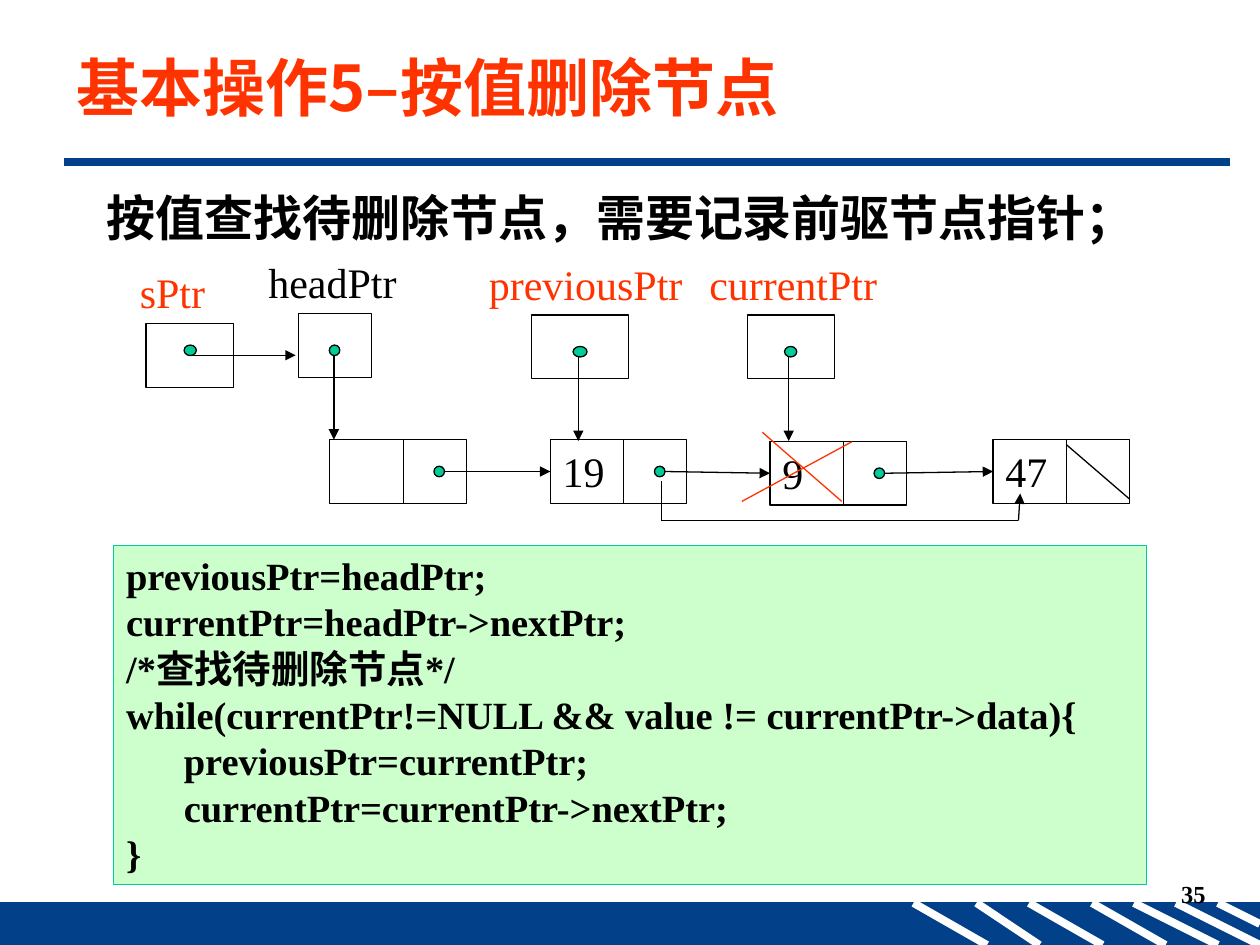
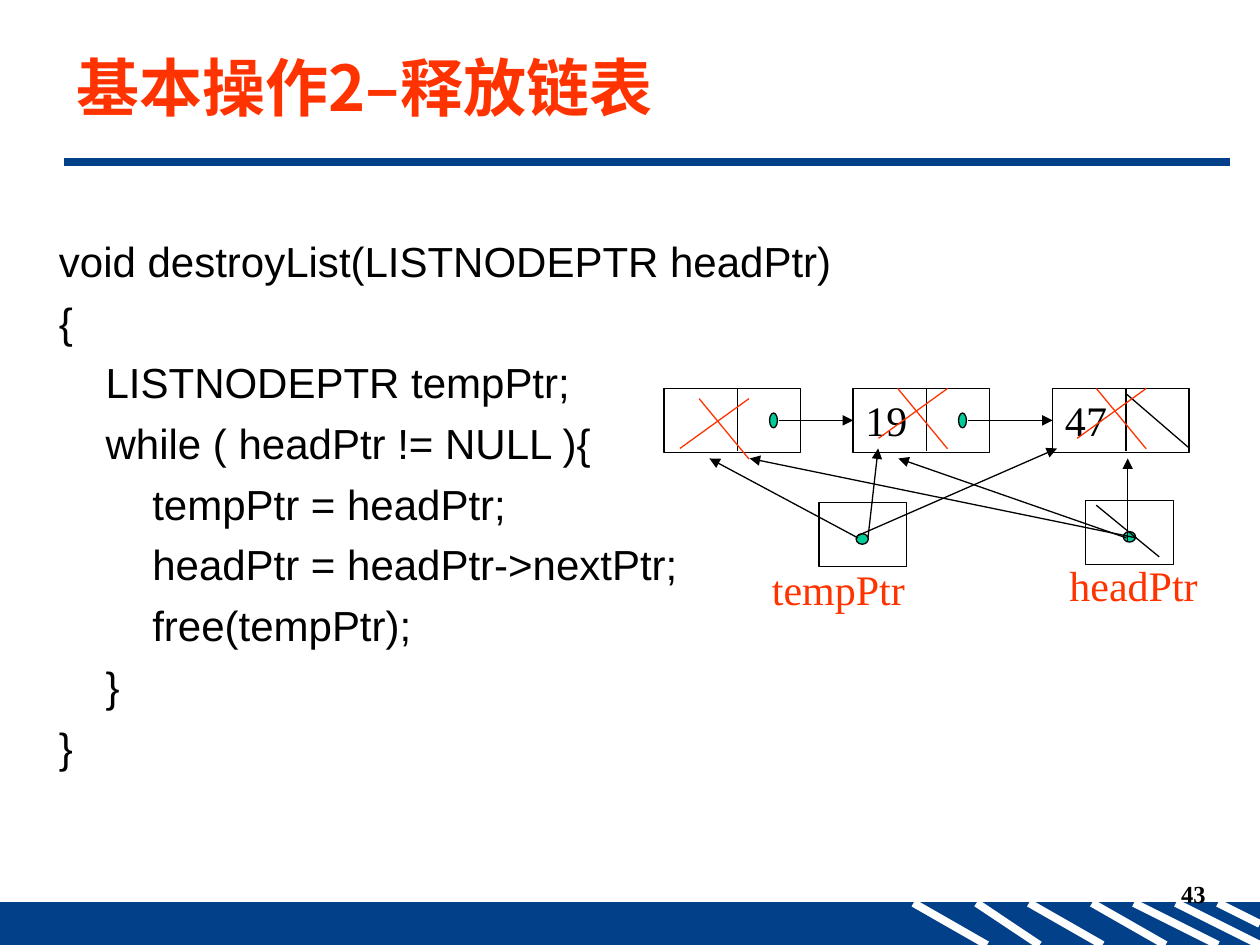
"""Build two slides on deleting a linked-list node and freeing a list."""
from itertools import pairwise

from lxml import etree
from pptx import Presentation
from pptx.dml.color import RGBColor
from pptx.enum.shapes import MSO_CONNECTOR, MSO_SHAPE
from pptx.enum.text import MSO_ANCHOR, PP_ALIGN
from pptx.oxml.ns import qn
from pptx.util import Pt

RECTANGLE, OVAL = MSO_SHAPE.RECTANGLE, MSO_SHAPE.OVAL
STRAIGHT = MSO_CONNECTOR.STRAIGHT
TOP, MIDDLE = MSO_ANCHOR.TOP, MSO_ANCHOR.MIDDLE
LEFT, RIGHT = PP_ALIGN.LEFT, PP_ALIGN.RIGHT
LEFT_SIDE = 1

BLACK = RGBColor(0x00, 0x00, 0x00)
WHITE = RGBColor(0xFF, 0xFF, 0xFF)
NAVY = RGBColor(0x02, 0x40, 0x89)
RED = RGBColor(0xFF, 0x33, 0x00)
GREEN = RGBColor(0x00, 0xCC, 0x99)
PALE_GREEN = RGBColor(0xCC, 0xFF, 0xCC)

SERIF, SANS, CHINESE = "Times New Roman", "Arial", "Noto Sans CJK SC"
NODE_WIDTH, NODE_HEIGHT, DIVIDER = 78, 36.5, 42
POINTER_HEIGHT = 36.5


def add_box(slide, kind, left, top, width, height, text="", fill=None, line=None,
            font=SERIF, size=24, color=BLACK, bold=False, align=LEFT, anchor=TOP,
            indents=None, space_before=0, line_spacing=None):
    """Add a shape, or a text box when kind is None, with one style of text."""
    place = Pt(left), Pt(top), Pt(width), Pt(height)
    if kind is None:
        shape = slide.shapes.add_textbox(*place)
    else:
        shape = slide.shapes.add_shape(kind, *place)
        shape.shadow.inherit = False
    if fill is None:
        shape.fill.background()
    else:
        shape.fill.solid()
        shape.fill.fore_color.rgb = fill
    if line is None:
        shape.line.fill.background()
    else:
        shape.line.color.rgb = line
        shape.line.width = Pt(0.75)
    if not text:
        return shape
    text_frame = shape.text_frame
    text_frame.word_wrap = True
    text_frame.vertical_anchor = anchor
    text_frame.text = text
    for index, paragraph in enumerate(text_frame.paragraphs):
        paragraph.alignment = align
        paragraph.space_before = Pt(space_before)
        if line_spacing:
            paragraph.line_spacing = Pt(line_spacing)
        if indents:
            paragraph._p.get_or_add_pPr().set("marL", str(Pt(indents[index])))
        for run in paragraph.runs:
            run.font.name = font
            run.font.size = Pt(size)
            run.font.bold = bold
            run.font.color.rgb = color
            east_asian = etree.SubElement(run._r.get_or_add_rPr(), qn("a:ea"))
            east_asian.set("typeface", CHINESE)
    return shape


def add_line(slide, start, end, color=BLACK, width=0.75, arrow=False, target=None):
    """Add a straight line, with an arrowhead or a target node if wanted."""
    connector = slide.shapes.add_connector(
        STRAIGHT, Pt(start[0]), Pt(start[1]), Pt(end[0]), Pt(end[1]))
    connector.line.color.rgb = color
    connector.line.width = Pt(width)
    if arrow:
        tail = etree.SubElement(connector.line._get_or_add_ln(), qn("a:tailEnd"))
        tail.set("type", "triangle")
    etree.SubElement(connector._element.spPr, qn("a:effectLst"))
    if target is not None:
        connector.end_connect(target, LEFT_SIDE)


presentation = Presentation()
presentation.slide_width, presentation.slide_height = Pt(720), Pt(540)

stripes = [(522, 564, 540), (558, 594, 540), (588, 630, 540), (624, 666, 540),
           (648, 696, 540), (672, 720, 540), (696, 720, 528)]
slides = []
for title, number in [("基本操作5–按值删除节点", "35"), ("基本操作2–释放链表", "43")]:
    slide = presentation.slides.add_slide(presentation.slide_layouts[6])
    add_box(slide, RECTANGLE, 0, 516, 720, 24, fill=NAVY, line=NAVY)
    for stripe_left, stripe_right, stripe_bottom in stripes:
        add_line(slide, (stripe_left, 516), (stripe_right, stripe_bottom), WHITE, 4.5)
    add_line(slide, (36.75, 92.6), (703, 92.6), NAVY, 4.5)
    add_box(slide, None, 546, 498.5, 150, 36, number, size=14, bold=True, align=RIGHT)
    add_box(slide, None, 36.75, 21, 669, 57, title, font=CHINESE, size=36,
            color=RED, bold=True, anchor=MIDDLE)
    slides.append(slide)
delete_slide, destroy_slide = slides

list_nodes = [
    (delete_slide, [(188.5, 251.2, ""), (314.5, 251.2, "19"),
                    (440, 252.2, "9"), (567.5, 251.2, "47")], 6, 6),
    (destroy_slide, [(379.5, 222, ""), (487.5, 222, "19"), (601.5, 222, "47")], 4.5, 8.5),
]
for slide, nodes, dot_width, dot_height in list_nodes:
    shapes = []
    for left, top, value in nodes:
        shapes.append(add_box(slide, RECTANGLE, left, top, NODE_WIDTH, NODE_HEIGHT,
                              value, line=BLACK, space_before=1.5))
        add_line(slide, (left + DIVIDER, top), (left + DIVIDER, top + 36))
    for (left, top, _), (next_left, next_top, _), target in zip(nodes, nodes[1:], shapes[1:]):
        middle = top + NODE_HEIGHT / 2
        add_line(slide, (left + 65.5, middle), (next_left, next_top + NODE_HEIGHT / 2),
                 arrow=True, target=target)
        add_box(slide, OVAL, left + 62.5 - dot_width / 2, middle - dot_height / 2,
                dot_width, dot_height, fill=GREEN, line=BLACK)
    left, top, _ = nodes[-1]
    add_line(slide, (left + DIVIDER, top + 3), (left + NODE_WIDTH, top + 34))

add_box(delete_slide, None, 54, 103.5, 641, 50, "按值查找待删除节点，需要记录前驱节点指针；",
        font=SANS, size=28, bold=True)

pointers = [
    (delete_slide, "sPtr", RED, 83.5, 185, 50, 72.8, 149, 108.7, 200.2, 7),
    (delete_slide, "headPtr", BLACK, 170.5, 179.3, 42, 146.2, 143.3, 191.2, 200.2, 6),
    (delete_slide, "previousPtr", RED, 303.8, 180, 55.5, 272.2, 144, 331.5, 201, 8),
    (delete_slide, "currentPtr", RED, 427, 180, 50, 398.2, 144, 451.8, 201, 7),
    (destroy_slide, "headPtr", RED, 620.5, 286, 50, 604, 316, 645.4, 306.8, 7),
    (destroy_slide, "tempPtr", RED, 468, 287.3, 50, 434, 318.5, 492.7, 308, 7),
]
for (slide, label, color, left, top, width, label_left, label_top,
     dot_center, dot_middle, dot_width) in pointers:
    add_box(slide, RECTANGLE, left, top, width, POINTER_HEIGHT, line=BLACK)
    add_box(slide, None, label_left, label_top, 126, 36, label, color=color, space_before=1.5)
    add_box(slide, OVAL, dot_center - dot_width / 2, dot_middle - 3, dot_width, 6,
            fill=GREEN, line=BLACK)

pointer_arrows = [
    (delete_slide, (108.7, 203), (169, 203)),
    (delete_slide, (190.8, 203), (190.8, 251.2)),
    (delete_slide, (330.5, 204), (330.5, 252)),
    (delete_slide, (450.7, 204), (450.7, 252)),
    (destroy_slide, (644.4, 309.6), (644.4, 262)),
    (destroy_slide, (490.3, 306), (604, 256.3)),
    (destroy_slide, (490.3, 307.4), (405.4, 262)),
    (destroy_slide, (496, 307.4), (501.8, 256.3)),
    (destroy_slide, (643.7, 307.4), (513.4, 262)),
    (destroy_slide, (649.4, 307.4), (428.4, 262)),
]
for slide, start, end in pointer_arrows:
    add_line(slide, start, end, arrow=True)
add_line(destroy_slide, (626.4, 288.7), (662.4, 318.2))

bypass = [(378, 275), (378, 297.5), (582, 297.5), (583, 282)]
for start, end in pairwise(bypass):
    add_line(delete_slide, start, end, arrow=end == bypass[-1])

add_line(delete_slide, (486.7, 252.5), (424, 286.5), RED)
add_line(delete_slide, (435.6, 247), (481, 286.5), RED)
for left, top in [(388.5, 227.8), (502, 222), (615.5, 222)]:
    add_line(destroy_slide, (left + 39.5, top), (left, top + 28.5), RED)
    add_line(destroy_slide, (left + 11, top), (left + 39.5, top + 34.5), RED)

search_code = """previousPtr=headPtr;
currentPtr=headPtr->nextPtr;
/*查找待删除节点*/
while(currentPtr!=NULL && value != currentPtr->data){
previousPtr=currentPtr;
currentPtr=currentPtr->nextPtr;
}"""
add_box(delete_slide, RECTANGLE, 65, 311.7, 590, 193.7, search_code, fill=PALE_GREEN,
        line=GREEN, size=22, bold=True, indents=[0, 0, 0, 0, 33, 33, 0], line_spacing=26.5)

destroy_code = """void destroyList(LISTNODEPTR headPtr)
{
LISTNODEPTR tempPtr;
while ( headPtr != NULL ){
tempPtr = headPtr;
headPtr = headPtr->nextPtr;
free(tempPtr);
}
}"""
add_box(destroy_slide, None, 26.6, 131, 482, 310, destroy_code, font=SANS,
        indents=[26.7 * level for level in (0, 0, 1, 1, 2, 2, 2, 1, 0)], space_before=5.9)

presentation.save("out.pptx")
